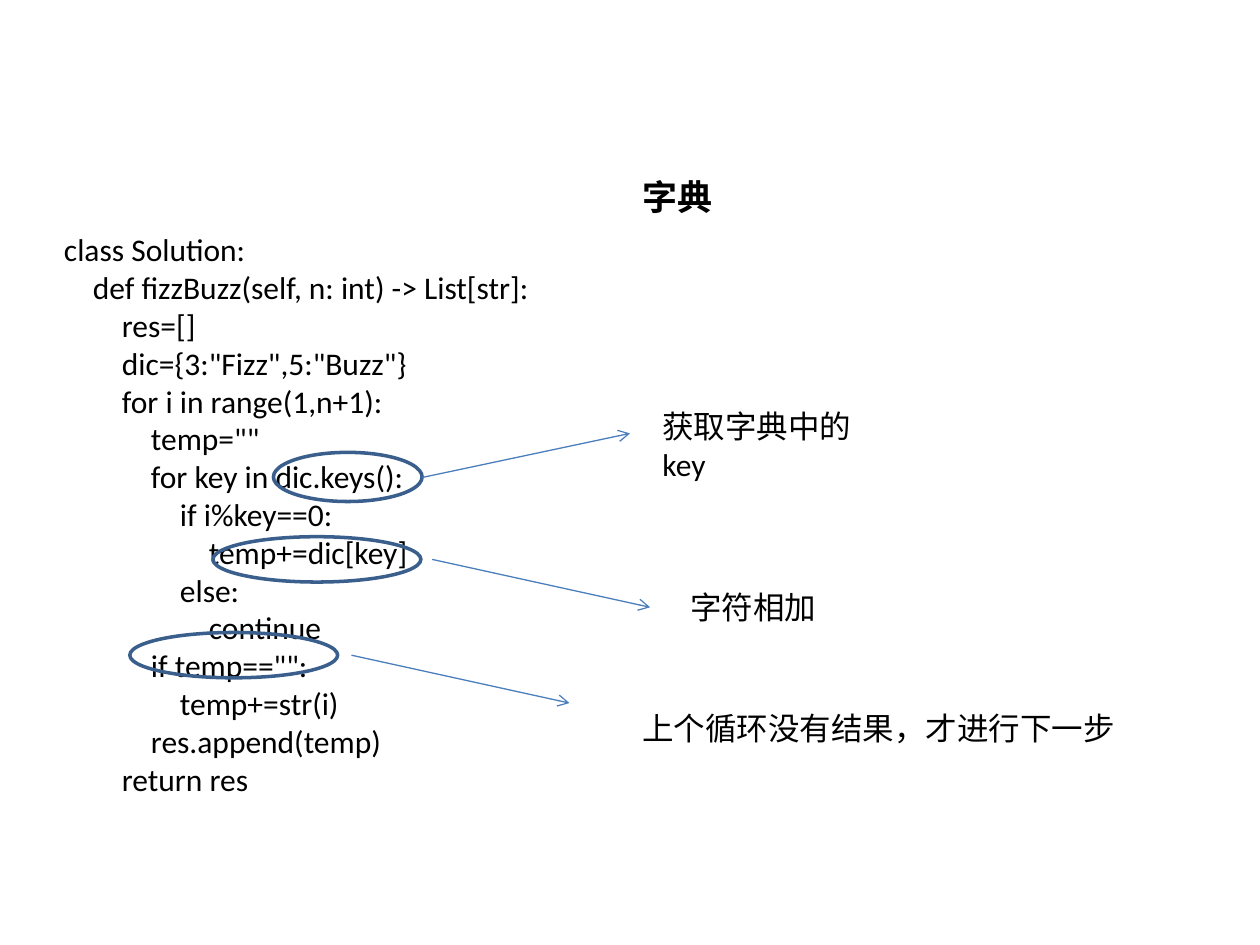
from lxml.etree import SubElement
from pptx import Presentation
from pptx.dml.color import RGBColor
from pptx.enum.shapes import MSO_CONNECTOR, MSO_SHAPE
from pptx.enum.text import MSO_ANCHOR, MSO_AUTO_SIZE, PP_ALIGN
from pptx.oxml.ns import qn
from pptx.util import Inches, Pt

BLACK = RGBColor(0x00, 0x00, 0x00)
RING = RGBColor(0x3A, 0x5F, 0x8C)
ARROW = RGBColor(0x4B, 0x7E, 0xBC)
FONT = "Calibri"
INDENT = 0.23

# Indent level and text of each code line
CODE = [
    (0, "class Solution:"),
    (1, "def fizzBuzz(self, n: int) -> List[str]:"),
    (2, "res=[]"),
    (2, 'dic={3:"Fizz",5:"Buzz"}'),
    (2, "for i in range(1,n+1):"),
    (3, 'temp=""'),
    (3, "for key in dic.keys():"),
    (4, "if i%key==0:"),
    (5, "temp+=dic[key]"),
    (4, "else:"),
    (5, "continue"),
    (3, 'if temp=="":'),
    (4, "temp+=str(i)"),
    (3, "res.append(temp)"),
    (2, "return res"),
]

# Ring box, arrow start and end, note box, note text
CALLOUTS = [
    ((2.17, 3.59, 1.18, 0.39), (3.35, 3.79), (5, 3.44),
     (5.16, 3.18, 2, 0.7), "获取字典中的key"),
    ((1.69, 4.26, 1.65, 0.36), (3.43, 4.44), (5.16, 4.82),
     (5.38, 4.62, 1.21, 0.4), "字符相加"),
    ((1.03, 5.02, 1.65, 0.36), (2.79, 5.2), (4.52, 5.58),
     (5, 5.58, 3.99, 0.4), "上个循环没有结果，才进行下一步"),
]


def inches(values):
    return [Inches(v) for v in values]


def format_text(tf, size, bold=False):
    tf.word_wrap = True
    tf.auto_size = MSO_AUTO_SIZE.NONE
    tf.vertical_anchor = MSO_ANCHOR.TOP
    for p in tf.paragraphs:
        p.alignment = PP_ALIGN.LEFT
        for r in p.runs:
            r.font.name = FONT
            r.font.size = Pt(size)
            r.font.bold = bold
            r.font.color.rgb = BLACK


def set_title(s, text, box):
    sp = s.shapes.title
    sp.left, sp.top, sp.width, sp.height = inches(box)
    sp.text_frame.text = text
    format_text(sp.text_frame, 20, bold=True)


def add_text(s, text, box):
    tf = s.shapes.add_textbox(*inches(box)).text_frame
    tf.text = text
    format_text(tf, 18)
    return tf


def add_code(s, lines, box):
    tf = add_text(s, "\n".join(text for _, text in lines), box)
    for p, (level, _) in zip(tf.paragraphs, lines):
        pPr = p._p.get_or_add_pPr()
        pPr.set("marL", str(Inches(INDENT * level)))
        pPr.set("indent", "0")


def add_ring(s, box):
    sp = s.shapes.add_shape(MSO_SHAPE.OVAL, *inches(box))
    sp.shadow.inherit = False
    sp.fill.background()
    sp.line.color.rgb = RING
    sp.line.width = Pt(2)


def add_arrow(s, start, end):
    cxn = s.shapes.add_connector(MSO_CONNECTOR.STRAIGHT, *inches(start + end))
    cxn.line.color.rgb = ARROW
    cxn.line.width = Pt(0.75)
    SubElement(cxn.line._get_or_add_ln(), qn("a:tailEnd"), type="arrow")
    SubElement(cxn._element.spPr, qn("a:effectLst"))


def main():
    prs = Presentation()
    prs.slide_width, prs.slide_height = Inches(10), Inches(7.5)
    s = prs.slides.add_slide(prs.slide_layouts[5])

    # Title and code listing
    set_title(s, "字典", (5, 1.34, 0.77, 0.44))
    add_code(s, CODE, (0.41, 1.78, 3.93, 4.95))

    # Ringed code with its explanation
    for ring, start, end, note, text in CALLOUTS:
        add_ring(s, ring)
        add_arrow(s, start, end)
        add_text(s, text, note)

    prs.save("out.pptx")


main()
